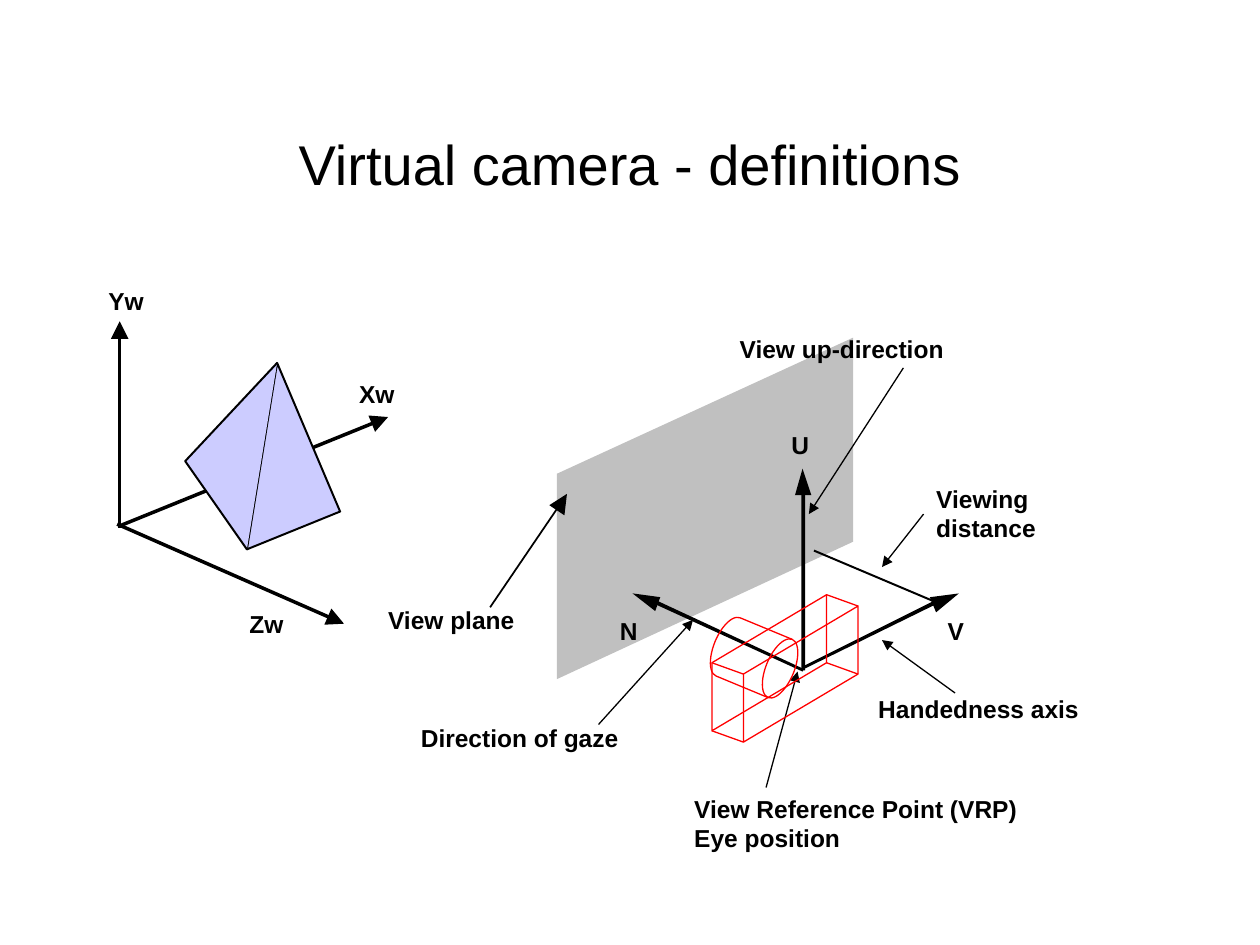
from dataclasses import dataclass
from typing import Optional

from lxml import etree
from pptx import Presentation
from pptx import util as u
from pptx.dml.color import RGBColor
from pptx.enum import shapes, text
from pptx.oxml import ns

BLACK = RGBColor(0x00, 0x00, 0x00)
GREY = RGBColor(0xC0, 0xC0, 0xC0)
RED = RGBColor(0xFF, 0x00, 0x00)
LILAC = RGBColor(0xCC, 0xCC, 0xFF)
FONT = "Arial"
Point = tuple[float, float]


@dataclass
class Label:
    text: str
    left: float
    top: float
    width: float


@dataclass
class Line:
    start: Point
    end: Point
    width: float = 0.75
    color: RGBColor = BLACK
    arrow: Optional[str] = "med"


@dataclass
class Polygon:
    points: list[Point]
    fill: Optional[RGBColor] = BLACK
    line: Optional[RGBColor] = None
    width: float = 0.75
    close: bool = True


def write_text(tf, content: str, size: float = 14, bold: bool = True,
               color: RGBColor = BLACK, align=text.PP_ALIGN.LEFT,
               before: float = 0, after: float = 0) -> None:
    tf.text = content
    for p in tf.paragraphs:
        p.alignment = align
        p.space_before, p.space_after = u.Pt(before), u.Pt(after)
        for r in p.runs:
            r.font.name, r.font.size = FONT, u.Pt(size)
            r.font.bold = bold
            r.font.color.rgb = color


def draw_label(s, label: Label) -> None:
    height = 0.23 * len(label.text.split("\n"))
    box = s.shapes.add_textbox(u.Inches(label.left), u.Inches(label.top),
                               u.Inches(label.width), u.Inches(height))
    tf = box.text_frame
    tf.margin_left = tf.margin_right = tf.margin_top = tf.margin_bottom = 0
    tf.word_wrap = False
    tf.auto_size = text.MSO_AUTO_SIZE.SHAPE_TO_FIT_TEXT
    write_text(tf, label.text)


def draw_line(s, line: Line) -> None:
    ends = [u.Inches(v) for v in line.start + line.end]
    cxn = s.shapes.add_connector(shapes.MSO_CONNECTOR.STRAIGHT, *ends)
    cxn.line.color.rgb = line.color
    cxn.line.width = u.Pt(line.width)
    if line.arrow:
        etree.SubElement(cxn.line._get_or_add_ln(), ns.qn("a:tailEnd"),
                         type="triangle", w=line.arrow, len=line.arrow)
    etree.SubElement(cxn._element.spPr, ns.qn("a:effectLst"))


def style(sp, fill: Optional[RGBColor], line: Optional[RGBColor], width: float = 0.75) -> None:
    sp.shadow.inherit = False
    if fill is None:
        sp.fill.background()
    else:
        sp.fill.solid()
        sp.fill.fore_color.rgb = fill
    if line is None:
        sp.line.fill.background()
    else:
        sp.line.color.rgb = line
        sp.line.width = u.Pt(width)


def draw_polygon(s, polygon: Polygon) -> None:
    first, *rest = [(u.Inches(x), u.Inches(y)) for x, y in polygon.points]
    builder = s.shapes.build_freeform(*first)
    builder.add_line_segments(rest, close=polygon.close)
    style(builder.convert_to_shape(), polygon.fill, polygon.line, polygon.width)


def draw_preset(s, kind, left: float, top: float, width: float, height: float,
                fill: Optional[RGBColor] = None, line: Optional[RGBColor] = None,
                rotation: float = 0) -> None:
    sp = s.shapes.add_shape(kind, u.Inches(left), u.Inches(top),
                            u.Inches(width), u.Inches(height))
    sp.rotation = rotation
    style(sp, fill, line)


WORLD_LABELS = [Label("Xw", 2.85, 3.01, 0.3), Label("Yw", 0.86, 2.27, 0.3),
                Label("Zw", 1.98, 4.83, 0.3)]
WORLD_AXES = [Line((0.93, 4.16), (2.73, 4.95), 2, arrow="lg"),
              Line((0.96, 4.17), (3.08, 3.31), 2, arrow="lg"),
              Line((0.95, 4.19), (0.95, 2.55), 2, arrow="lg")]

VIEW_PLANE = Polygon([(4.42, 5.39), (6.77, 4.3), (6.77, 2.68), (4.42, 3.76)], GREY)
PLANE_ARROWHEAD = Polygon([(4.48, 4.09), (4.5, 3.92), (4.36, 4.01)])

CAMERA_AXES = [
    Polygon([(6.37, 5.29), (6.38, 5.31), (7.42, 4.8), (7.41, 4.77)]),
    Polygon([(6.37, 3.72), (6.44, 3.93), (6.31, 3.93)]),
    Polygon([(7.61, 4.71), (7.43, 4.86), (7.38, 4.74)]),
    Polygon([(5.02, 4.71), (5.24, 4.74), (5.2, 4.85)]),
    Polygon([(6.37, 5.33), (6.38, 5.31), (5.22, 4.77), (5.21, 4.8)]),
]
CAMERA_LABELS = [Label("V", 7.52, 4.89, 0.15), Label("U", 6.28, 3.41, 0.15),
                 Label("N", 4.92, 4.89, 0.15)]

CALLOUTS = [
    (Label("Direction of gaze", 3.34, 5.74, 1.6), Line((4.75, 5.75), (5.5, 4.92))),
    (Label("View Reference Point (VRP)\nEye position", 5.51, 6.3, 2.6),
     Line((6.08, 6.25), (6.33, 5.33))),
    (Label("Handedness axis", 6.97, 5.51, 1.62), Line((7.58, 5.5), (7, 5.08))),
    (Label("Viewing\ndistance", 7.43, 3.84, 0.82), Line((7.33, 4.08), (7, 4.5))),
    (Label("View up-direction", 5.87, 2.65, 1.66), Line((7.17, 2.92), (6.42, 4.08))),
]
VIEWING_DISTANCE = Line((6.46, 4.37), (7.43, 4.78), 1.13, arrow=None)

# Camera body: one side face, shifted by a fixed depth to give the other
SIDE_FACE = [(5.65, 5.26), (6.56, 4.72), (6.56, 5.26), (5.65, 5.8)]
DEPTH = (0.25, 0.09)

APEX, LEFT, BASE, RIGHT = (2.2, 2.88), (1.47, 3.66), (1.96, 4.36), (2.7, 4.06)
PYRAMID = [
    Polygon([APEX, RIGHT, BASE], LILAC, BLACK, 1.13),
    Polygon([APEX, LEFT, BASE], LILAC),
    Polygon([APEX, LEFT, BASE], None, BLACK, 1.13, close=False),
]


def draw_camera(s) -> None:
    draw_preset(s, shapes.MSO_SHAPE.FLOWCHART_DIRECT_ACCESS_STORAGE,
                5.65, 4.97, 0.67, 0.5, line=RED, rotation=22.5)
    far_face = [(x + DEPTH[0], y + DEPTH[1]) for x, y in SIDE_FACE]
    for face in (SIDE_FACE, far_face):
        draw_polygon(s, Polygon(face, None, RED))
    for near, far in zip(SIDE_FACE, far_face):
        draw_line(s, Line(near, far, color=RED, arrow=None))


def main() -> None:
    prs = Presentation()
    prs.slide_width, prs.slide_height = u.Inches(10), u.Inches(7.5)
    s = prs.slides.add_slide(prs.slide_layouts[5])

    # Title
    title = s.shapes.title
    title.left, title.top = u.Inches(0.75), u.Inches(0.67)
    title.width, title.height = u.Inches(8.5), u.Inches(1.25)
    title.text_frame.vertical_anchor = text.MSO_ANCHOR.MIDDLE
    title.text_frame.auto_size = text.MSO_AUTO_SIZE.NONE
    write_text(title.text_frame, "Virtual camera - definitions", size=32, bold=False,
               align=text.PP_ALIGN.CENTER, before=12, after=6)

    # World axes
    for label in WORLD_LABELS:
        draw_label(s, label)
    for axis in WORLD_AXES:
        draw_line(s, axis)

    # View plane
    draw_polygon(s, VIEW_PLANE)
    draw_label(s, Label("View plane", 3.08, 4.8, 1.04))
    draw_line(s, Line((3.89, 4.82), (4.42, 4.04), 1, arrow=None))
    draw_polygon(s, PLANE_ARROWHEAD)

    # Camera axes
    for part in CAMERA_AXES:
        draw_polygon(s, part)
    draw_preset(s, shapes.MSO_SHAPE.RECTANGLE, 6.36, 3.93, 0.03, 1.39, fill=BLACK)
    for label in CAMERA_LABELS:
        draw_label(s, label)

    # Callouts
    for label, pointer in CALLOUTS:
        draw_label(s, label)
        draw_line(s, pointer)
    draw_line(s, VIEWING_DISTANCE)

    # Camera and viewed object
    draw_camera(s)
    for face in PYRAMID:
        draw_polygon(s, face)

    prs.save("out.pptx")


if __name__ == "__main__":
    main()
